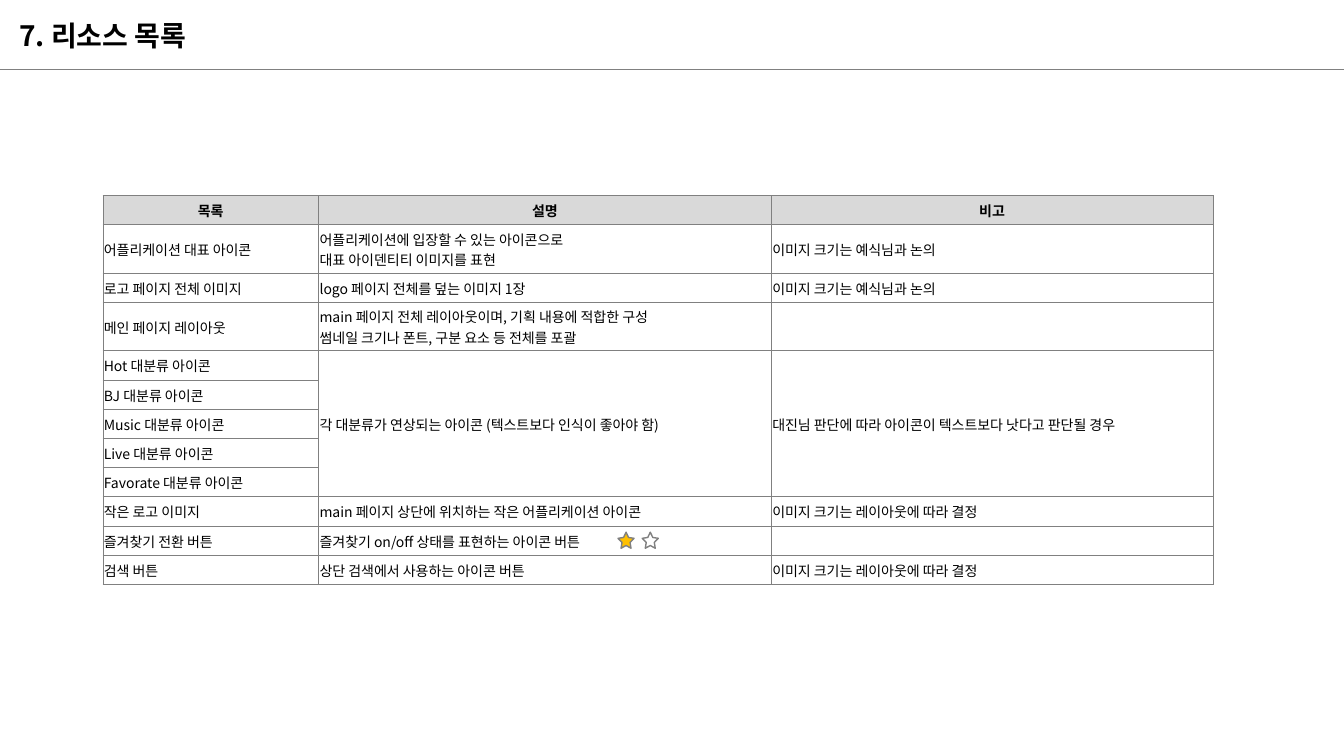
from dataclasses import dataclass
from typing import NamedTuple

from lxml.etree import SubElement
from pptx import Presentation
from pptx.dml.color import RGBColor as Rgb
from pptx.enum.shapes import MSO_CONNECTOR as Link, MSO_SHAPE as Shape
from pptx.enum.text import MSO_ANCHOR as Anchor, MSO_AUTO_SIZE as Fit, PP_ALIGN as Align
from pptx.oxml.ns import qn
from pptx.slide import Slide
from pptx.table import Table, _Cell as Cell
from pptx.text.text import TextFrame as Frame
from pptx.util import Inches, Length, Pt


@dataclass(frozen=True)
class Theme:
    font: str = "Noto Sans CJK KR"
    ink: Rgb = Rgb(0x00, 0x00, 0x00)
    line: Rgb = Rgb(0x80, 0x80, 0x80)
    head: Rgb = Rgb(0xD9, 0xD9, 0xD9)
    gold: Rgb = Rgb(0xFF, 0xC0, 0x00)
    title: Length = Pt(20)
    body: Length = Pt(10)
    rule: Length = Pt(1)
    edge: Length = Pt(0.5)


class Item(NamedTuple):
    name: str
    about: str = ""
    note: str = ""


class Star(NamedTuple):
    left: float
    full: bool


THEME = Theme()
WIDTH = Inches(13.33)
COLS = (2.14, 4.49, 4.38)
LOW, HIGH = 0.29, 0.48
STARS = (Star(6.13, True), Star(6.37, False))
GROUP = ("Hot", "BJ", "Music", "Live", "Favorate")
ASK = "이미지 크기는 예식님과 논의"
FLOW = "이미지 크기는 레이아웃에 따라 결정"

HEAD = Item("목록", "설명", "비고")
ABOVE = [
    Item("어플리케이션 대표 아이콘",
         "어플리케이션에 입장할 수 있는 아이콘으로\n대표 아이덴티티 이미지를 표현", ASK),
    Item("로고 페이지 전체 이미지", "logo 페이지 전체를 덮는 이미지 1장", ASK),
    Item("메인 페이지 레이아웃",
         "main 페이지 전체 레이아웃이며, 기획 내용에 적합한 구성\n"
         "썸네일 크기나 폰트, 구분 요소 등 전체를 포괄"),
]
ICONS = [Item(f"{kind} 대분류 아이콘") for kind in GROUP]
ICONS[0] = ICONS[0]._replace(
    about="각 대분류가 연상되는 아이콘 (텍스트보다 인식이 좋아야 함)",
    note="대진님 판단에 따라 아이콘이 텍스트보다 낫다고 판단될 경우")
BELOW = [
    Item("작은 로고 이미지", "main 페이지 상단에 위치하는 작은 어플리케이션 아이콘", FLOW),
    Item("즐겨찾기 전환 버튼", "즐겨찾기 on/off 상태를 표현하는 아이콘 버튼"),
    Item("검색 버튼", "상단 검색에서 사용하는 아이콘 버튼", FLOW),
]
ITEMS = [HEAD, *ABOVE, *ICONS, *BELOW]


def style(frame: Frame, size: Length, bold: bool, align: Align) -> None:
    for para in frame.paragraphs:
        para.alignment = align
        for run in para.runs:
            font = run.font
            font.size, font.bold, font.name = size, bold, THEME.font
            font.color.rgb = THEME.ink
            SubElement(run._r.rPr, qn("a:ea"), typeface=THEME.font)
        SubElement(para._p, qn("a:endParaRPr"), sz=str(int(size.pt * 100)))


def border(cell: Cell) -> None:
    props = cell._tc.get_or_add_tcPr()
    for side in "LRTB":
        line = SubElement(props, qn(f"a:ln{side}"), w=str(int(THEME.edge)))
        fill = SubElement(line, qn("a:solidFill"))
        SubElement(fill, qn("a:srgbClr"), val=str(THEME.line))


def fill_cell(cell: Cell, text: str, head: bool) -> None:
    cell.text_frame.text = text
    style(cell.text_frame, THEME.body, head, Align.CENTER if head else Align.LEFT)
    cell.vertical_anchor = Anchor.MIDDLE
    cell.margin_left = cell.margin_right = cell.margin_top = Inches(0.01)
    cell.margin_bottom = Inches(0)
    border(cell)
    if head:
        cell.fill.solid()
        cell.fill.fore_color.rgb = THEME.head
    else:
        cell.fill.background()


def add_list(slide: Slide) -> Table:
    tall = [HIGH if "\n" in item.about else LOW for item in ITEMS]
    table = slide.shapes.add_table(
        len(ITEMS), len(COLS), Inches(1.02), Inches(1.94),
        Inches(sum(COLS)), Inches(sum(tall))).table
    table.first_row = table.horz_banding = False
    for col, wide in zip(table.columns, COLS):
        col.width = Inches(wide)
    for row, high, item in zip(table.rows, tall, ITEMS):
        row.height = Inches(high)
        for cell, text in zip(row.cells, item):
            fill_cell(cell, text, item is HEAD)
    first = ITEMS.index(ICONS[0])
    for col in (1, 2):
        table.cell(first, col).merge(table.cell(first + len(ICONS) - 1, col))
    return table


def add_title(slide: Slide, text: str) -> None:
    title = slide.shapes.title
    title.left, title.top = Inches(0.09), Inches(0.13)
    title.width, title.height = Inches(2.04), Inches(0.44)
    frame = title.text_frame
    frame.text = text
    frame.word_wrap = False
    frame.auto_size = Fit.SHAPE_TO_FIT_TEXT
    frame.vertical_anchor = Anchor.TOP
    style(frame, THEME.title, True, Align.LEFT)


def add_rule(slide: Slide) -> None:
    top = Inches(0.69)
    rule = slide.shapes.add_connector(Link.STRAIGHT, 0, top, WIDTH, top)
    rule.line.color.rgb = THEME.line
    rule.line.width = THEME.rule
    SubElement(rule._element.spPr, qn("a:effectLst"))


def add_star(slide: Slide, star: Star) -> None:
    side = Inches(0.16)
    shape = slide.shapes.add_shape(
        Shape.STAR_5_POINT, Inches(star.left), Inches(5.28), side, side)
    shape.adjustments[0] = 0.25
    shape.shadow.inherit = False
    shape.line.color.rgb = THEME.line
    shape.line.width = THEME.rule
    if star.full:
        shape.fill.solid()
        shape.fill.fore_color.rgb = THEME.gold
    else:
        shape.fill.background()


deck = Presentation()
deck.slide_width, deck.slide_height = WIDTH, Inches(7.5)
page = deck.slides.add_slide(deck.slide_layouts[5])
add_title(page, "7. 리소스 목록")
add_rule(page)
add_list(page)
for mark in STARS:
    add_star(page, mark)
deck.save("out.pptx")
